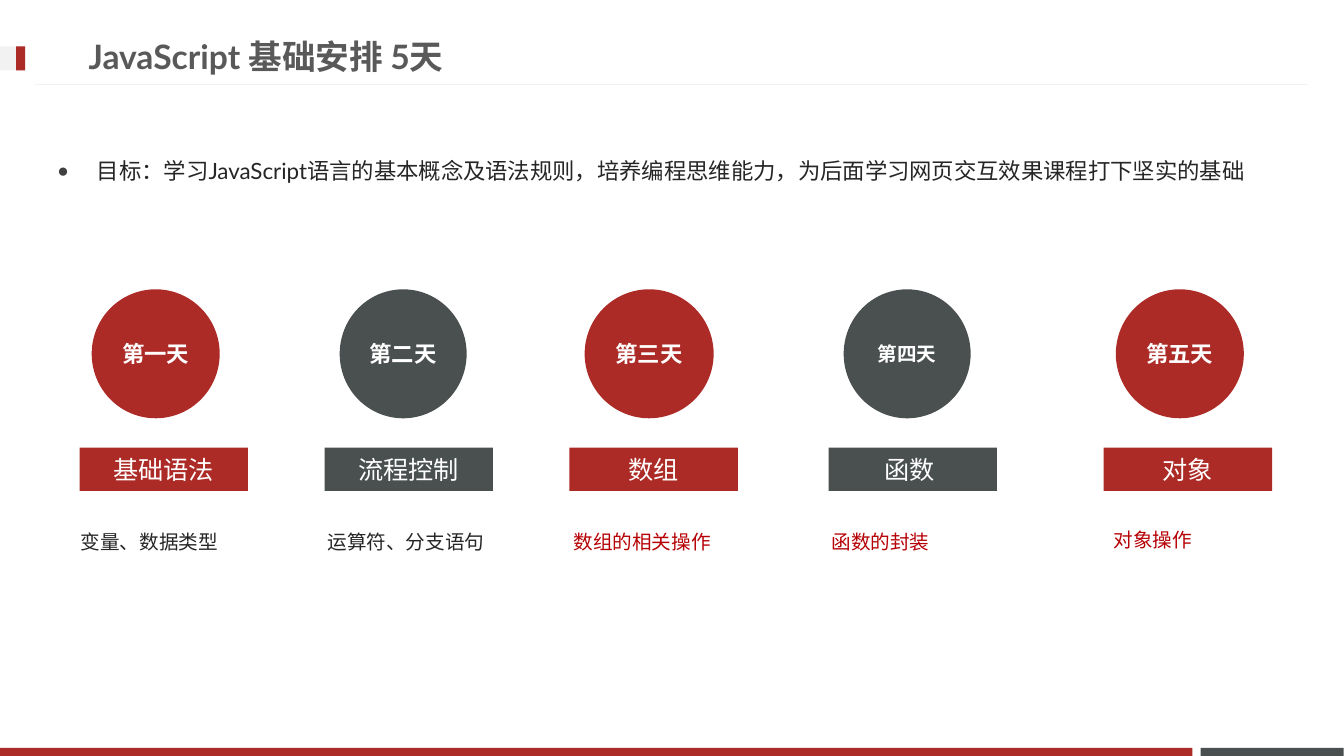
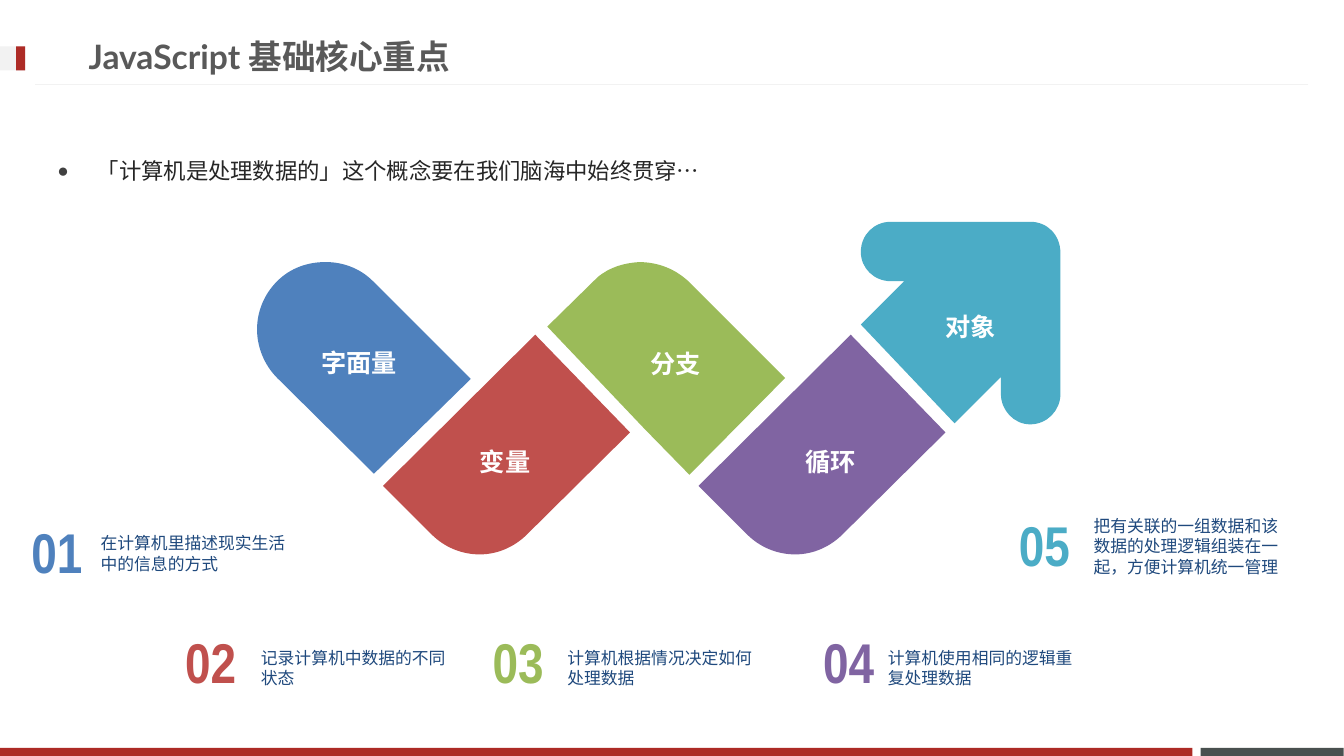
"""Build two course slides about the basics of JavaScript."""
from lxml import etree
from pptx import Presentation
from pptx.dml.color import RGBColor
from pptx.enum.shapes import MSO_CONNECTOR, MSO_SHAPE
from pptx.enum.text import MSO_ANCHOR, MSO_AUTO_SIZE, PP_ALIGN
from pptx.oxml.ns import qn
from pptx.util import Inches, Pt

RECTANGLE, OVAL = MSO_SHAPE.RECTANGLE, MSO_SHAPE.OVAL
STRAIGHT = MSO_CONNECTOR.STRAIGHT
TOP, MIDDLE = MSO_ANCHOR.TOP, MSO_ANCHOR.MIDDLE
FIXED, GROW = MSO_AUTO_SIZE.NONE, MSO_AUTO_SIZE.SHAPE_TO_FIT_TEXT
LEFT, CENTER, JUSTIFY = PP_ALIGN.LEFT, PP_ALIGN.CENTER, PP_ALIGN.JUSTIFY

COLORS = {
    "red": "AD2B26", "slate": "49504F", "pale": "F2F2F2", "white": "FFFFFF",
    "title": "595959", "ink": "262626", "bullet": "404040", "accent": "B60206",
    "navy": "1F497D", "blue": "4F81BD", "brick": "C0504D", "green": "9BBB59",
    "purple": "8064A2", "teal": "4BACC6",
}
LATIN, CHINESE, NARROW = "Lato", "Noto Sans CJK JP", "Arial Narrow"

NO_SIDES = {"margin_left": 0, "margin_right": 0}
PADDED = {**NO_SIDES, "margin_top": Inches(0.06), "margin_bottom": Inches(0.06)}
CENTERED = {"auto_size": FIXED, "vertical_anchor": MIDDLE}
GROWING = {"auto_size": GROW, "vertical_anchor": TOP}
STYLES = {
    "title": {
        "frame": CENTERED,
        "paragraph": {"alignment": LEFT},
        "font": {"name": LATIN, "size": Pt(24), "bold": True},
    },
    "body": {
        "frame": {"auto_size": FIXED, "vertical_anchor": TOP},
        "paragraph": {"alignment": LEFT, "line_spacing": 1.5},
        "font": {"name": LATIN, "size": Pt(16)},
    },
    "day": {
        "frame": CENTERED,
        "paragraph": {"alignment": CENTER},
        "font": {"name": LATIN, "size": Pt(16), "bold": True},
    },
    "topic": {
        "frame": {**CENTERED, **NO_SIDES},
        "paragraph": {"alignment": CENTER},
        "font": {"name": LATIN, "size": Pt(18)},
    },
    "note": {
        "frame": GROWING,
        "paragraph": {"alignment": JUSTIFY, "line_spacing": 1.5},
        "font": {"name": LATIN, "size": Pt(14)},
    },
    "label": {
        "frame": {**CENTERED, **PADDED},
        "paragraph": {"alignment": CENTER},
        "font": {"name": CHINESE, "size": Pt(18), "bold": True},
    },
    "number": {
        "frame": {**CENTERED, **PADDED},
        "paragraph": {"alignment": CENTER},
        "font": {"name": NARROW, "size": Pt(40), "bold": True},
    },
    "description": {
        "frame": GROWING,
        "paragraph": {"alignment": LEFT},
        "font": {"name": LATIN, "size": Pt(12)},
    },
}
STYLES["small day"] = {
    **STYLES["day"], "font": {**STYLES["day"]["font"], "size": Pt(14)},
}

PLACEHOLDER_BOXES = [(0.78, 0.27, 9.59, 0.57), (0.47, 1.38, 12.2, 1.49)]
BANDS = [
    ((11.91, 7.42, 1.42, 0.08), "slate"),
    ((0, 7.42, 11.83, 0.08), "red"),
    ((0, 0.46, 0.25, 0.24), "pale"),
    ((0.16, 0.46, 0.09, 0.24), "red"),
]

DAYS = [
    ("第一天", "day", 0.91, 1.27, "基础语法", 0.79, "变量、数据类型", (0.7, 5.09, 1.81, 0.45), "ink"),
    ("第二天", "day", 3.37, 1.26, "流程控制", 3.22, "运算符、分支语句", (3.15, 5.09, 1.81, 0.45), "ink"),
    ("第三天", "day", 5.8, 1.28, "数组", 5.65, "数组的相关操作", (5.59, 5.09, 1.81, 0.45), "accent"),
    ("第四天", "small day", 8.37, 1.26, "函数 ", 8.22, "函数的封装", (8.15, 5.09, 1.81, 0.42), "accent"),
    ("第五天", "day", 11.07, 1.27, "对象", 10.95, "对象操作", (10.95, 5.07, 1.81, 0.42), "accent"),
]

LITERAL_OUTLINE = [
    (3.23, 2.6), (3.05, 2.6, 2.88, 2.66, 2.75, 2.79),
    (2.62, 2.92, 2.55, 3.09, 2.55, 3.27), (2.55, 3.44, 2.62, 3.62, 2.75, 3.75),
    (3.71, 4.7), (4.67, 3.76), (3.7, 2.79), (3.57, 2.66, 3.4, 2.6, 3.23, 2.6),
]
RISING_OUTLINE = [
    (5.31, 3.32), (3.8, 4.82), (4.28, 5.3),
    (4.41, 5.43, 4.58, 5.5, 4.76, 5.5), (4.93, 5.5, 5.1, 5.43, 5.23, 5.3),
    (6.25, 4.29),
]
BRANCH_OUTLINE = [
    (6.34, 2.6), (6.19, 2.61, 6.05, 2.65, 5.93, 2.75), (5.43, 3.24),
    (6.4, 4.26), (6.84, 4.71), (7.79, 3.75), (6.85, 2.81),
    (6.71, 2.67, 6.53, 2.6, 6.34, 2.6),
]
ARROW_OUTLINE = [
    (8.84, 2.2), (8.67, 2.2, 8.54, 2.33, 8.54, 2.5),
    (8.54, 2.66, 8.67, 2.79, 8.84, 2.79), (8.97, 2.79), (8.54, 3.22),
    (9.47, 4.2), (9.93, 3.74), (9.93, 3.91),
    (9.93, 4.07, 10.06, 4.21, 10.22, 4.21),
    (10.39, 4.21, 10.52, 4.07, 10.52, 3.91), (10.52, 2.51),
    (10.52, 2.33, 10.39, 2.2, 10.22, 2.2),
]
LOOP_SHIFT = 3.13
PIECES = [
    (LITERAL_OUTLINE, 0, "blue", "字面量", 3.1, 3.23),
    (RISING_OUTLINE, 0, "brick", "变量", 4.55, 4.21),
    (BRANCH_OUTLINE, 0, "green", "分支", 6.24, 3.24),
    (RISING_OUTLINE, LOOP_SHIFT, "purple", "循环", 7.78, 4.21),
    (ARROW_OUTLINE, 0, "teal", "对象", 9.17, 2.87),
]
DESCRIPTIONS = [
    ("blue", (0.16, 5.08, 0.81, 0.77), (0.9, 5.24, 2.18, 0.5),
     "在计算机里描述现实生活中的信息的方式"),
    ("brick", (1.8, 6.17, 0.58, 0.77), (2.49, 6.38, 2.18, 0.5),
     "记录计算机中数据的不同状态"),
    ("green", (4.85, 6.17, 0.58, 0.77), (5.53, 6.38, 2.18, 0.5),
     "计算机根据情况决定如何处理数据"),
    ("purple", (8.13, 6.17, 0.58, 0.77), (8.71, 6.38, 2.18, 0.5),
     "计算机使用相同的逻辑重复处理数据"),
    ("teal", (10.07, 5.01, 0.58, 0.77), (10.75, 5.07, 2.18, 0.71),
     "把有关联的一组数据和该数据的处理逻辑组装在一起，方便计算机统一管理"),
]


def rgb(color):
    """Return the named colour."""
    return RGBColor.from_string(COLORS[color])


def inches(values):
    """Turn numbers into lengths."""
    return [Inches(value) for value in values]


def apply_format(target, values):
    """Set every attribute in a dict of format values."""
    for name, value in values.items():
        setattr(target, name, value)


def write_text(shape, text, style, color):
    """Put one styled paragraph into a shape and return it."""
    formats = STYLES[style]
    frame = shape.text_frame
    frame.word_wrap = True
    apply_format(frame, formats["frame"])
    paragraph = frame.paragraphs[0]
    apply_format(paragraph, formats["paragraph"])
    run = paragraph.add_run()
    run.text = text
    apply_format(run.font, formats["font"])
    run.font.color.rgb = rgb(color)
    for properties in shape.element.iter(qn("a:rPr")):
        etree.SubElement(properties, qn("a:ea"), typeface=CHINESE)
    return paragraph


def paint(shape, color):
    """Give a shape a flat fill without line or shadow."""
    shape.shadow.inherit = False
    shape.fill.solid()
    shape.fill.fore_color.rgb = rgb(color)
    shape.line.fill.background()


def add_block(slide, kind, box, color):
    """Add a flat preset shape."""
    shape = slide.shapes.add_shape(kind, *inches(box))
    paint(shape, color)
    return shape


def add_text(slide, box, text, style, color):
    """Add a styled text box."""
    write_text(slide.shapes.add_textbox(*inches(box)), text, style, color)


def add_bullet(paragraph):
    """Give a paragraph a hanging round bullet."""
    properties = paragraph._p.get_or_add_pPr()
    properties.set("marL", str(Inches(0.39)))
    properties.set("indent", str(-Inches(0.39)))
    bullet_color = etree.SubElement(properties, qn("a:buClr"))
    etree.SubElement(bullet_color, qn("a:srgbClr"), val=COLORS["bullet"])
    etree.SubElement(properties, qn("a:buSzPct"), val="85000")
    etree.SubElement(properties, qn("a:buChar"), char="●")


def bend_segments(shape, outline):
    """Merge the three points of each curve into one cubic segment."""
    segments = iter(list(shape.element.iter(qn("a:lnTo"))))
    for numbers in outline[1:]:
        first, *others = [next(segments) for _ in numbers[::2]]
        if others:
            first.tag = qn("a:cubicBezTo")
        for other in others:
            first.append(other[0])
            other.getparent().remove(other)


def add_piece(slide, outline, shift, color):
    """Add one flat piece of the zigzag arrow."""
    start, *points = [
        (Inches(x + shift), Inches(y))
        for numbers in outline for x, y in zip(numbers[::2], numbers[1::2])
    ]
    builder = slide.shapes.build_freeform(*start)
    builder.add_line_segments(points, close=True)
    shape = builder.convert_to_shape()
    bend_segments(shape, outline)
    paint(shape, color)


def decorate_layout(layout, slide):
    """Place the shared placeholders, bands and title rule on the layout."""
    for placeholder in list(layout.placeholders):
        if placeholder.placeholder_format.idx > 1:
            layout.shapes.element.remove(placeholder.element)
    for placeholder, box in zip(layout.placeholders, PLACEHOLDER_BOXES):
        apply_format(placeholder, dict(zip(("left", "top", "width", "height"), inches(box))))
    parts = [add_block(slide, RECTANGLE, box, color) for box, color in BANDS]
    rule = slide.shapes.add_connector(STRAIGHT, *inches((12.98, 0.84, 0.35, 0.84)))
    rule.line.color.rgb = rgb("pale")
    rule.line.width = Pt(0.75)
    etree.SubElement(rule.element.spPr, qn("a:effectLst"))
    for part in [*parts, rule]:
        layout.shapes.element.append(part.element)


def fill_headings(slide, title, sentence):
    """Fill the title and the bulleted body."""
    write_text(slide.shapes.title, title, "title", "title")
    add_bullet(write_text(slide.placeholders[1], sentence, "body", "ink"))


def build_schedule(slide):
    """Build the five-day schedule."""
    fill_headings(
        slide, "JavaScript 基础安排 5天",
        "目标：学习JavaScript语言的基本概念及语法规则，培养编程思维能力，"
        "为后面学习网页交互效果课程打下坚实的基础",
    )
    for index, (day, style, circle_left, circle_width, topic, topic_left,
                note, note_box, note_color) in enumerate(DAYS):
        color = ("red", "slate")[index % 2]
        circle = add_block(slide, OVAL, (circle_left, 2.87, circle_width, 1.28), color)
        write_text(circle, day, style, "white")
        bar = add_block(slide, RECTANGLE, (topic_left, 4.44, 1.67, 0.43), color)
        write_text(bar, topic, "topic", "white")
        add_text(slide, note_box, note, "note", note_color)


def build_key_points(slide):
    """Build the zigzag arrow with its five explanations."""
    fill_headings(
        slide, "JavaScript 基础核心重点",
        "「计算机是处理数据的」这个概念要在我们脑海中始终贯穿…",
    )
    for outline, shift, color, label, left, top in PIECES:
        add_piece(slide, outline, shift, color)
        add_text(slide, (left, top, 0.92, 0.73), label, "label", "white")
    for number, (color, number_box, text_box, text) in enumerate(DESCRIPTIONS, 1):
        add_text(slide, number_box, f"{number:02}", "number", color)
        add_text(slide, text_box, text, "description", "navy")


def main():
    """Build and save the presentation."""
    presentation = Presentation()
    presentation.slide_width = Inches(7.5 * 16 / 9)
    presentation.slide_height = Inches(7.5)
    layout = presentation.slide_layouts[1]
    schedule, key_points = [presentation.slides.add_slide(layout) for _ in range(2)]
    decorate_layout(layout, schedule)
    build_schedule(schedule)
    build_key_points(key_points)
    presentation.save("out.pptx")


if __name__ == "__main__":
    main()
